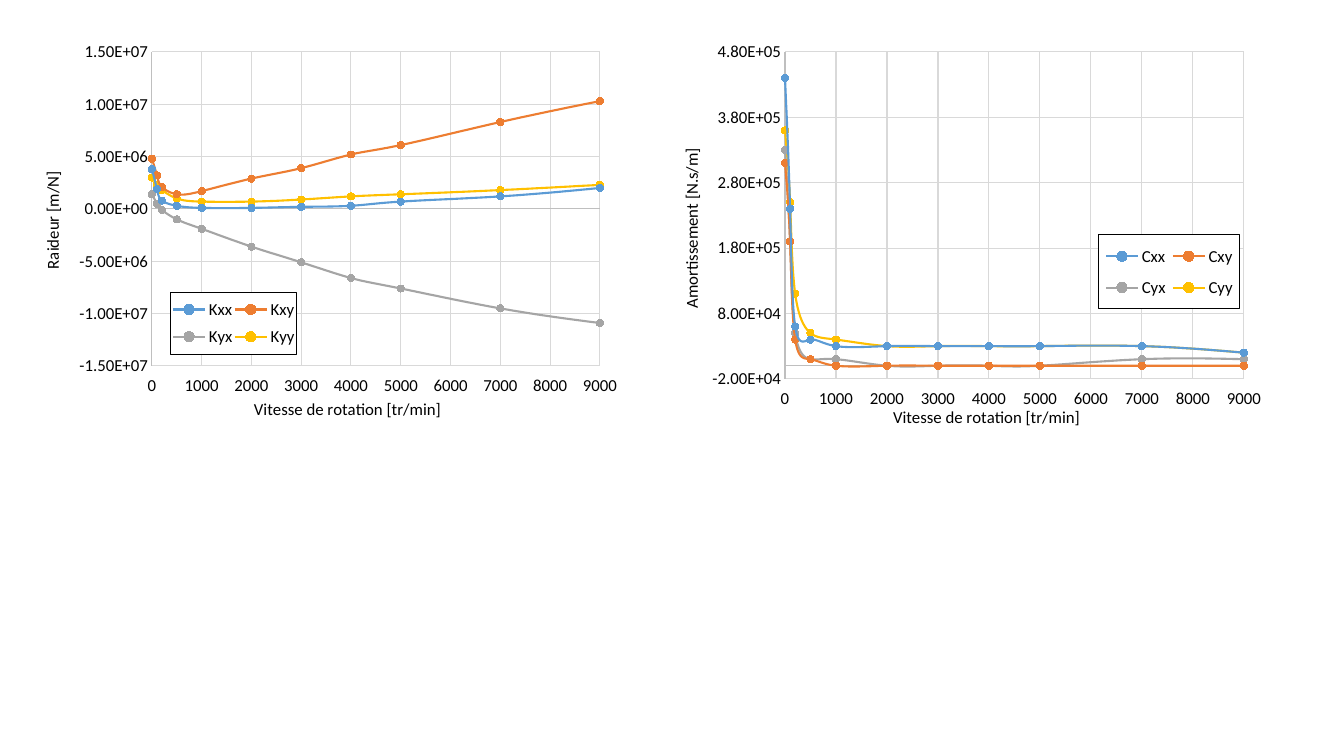
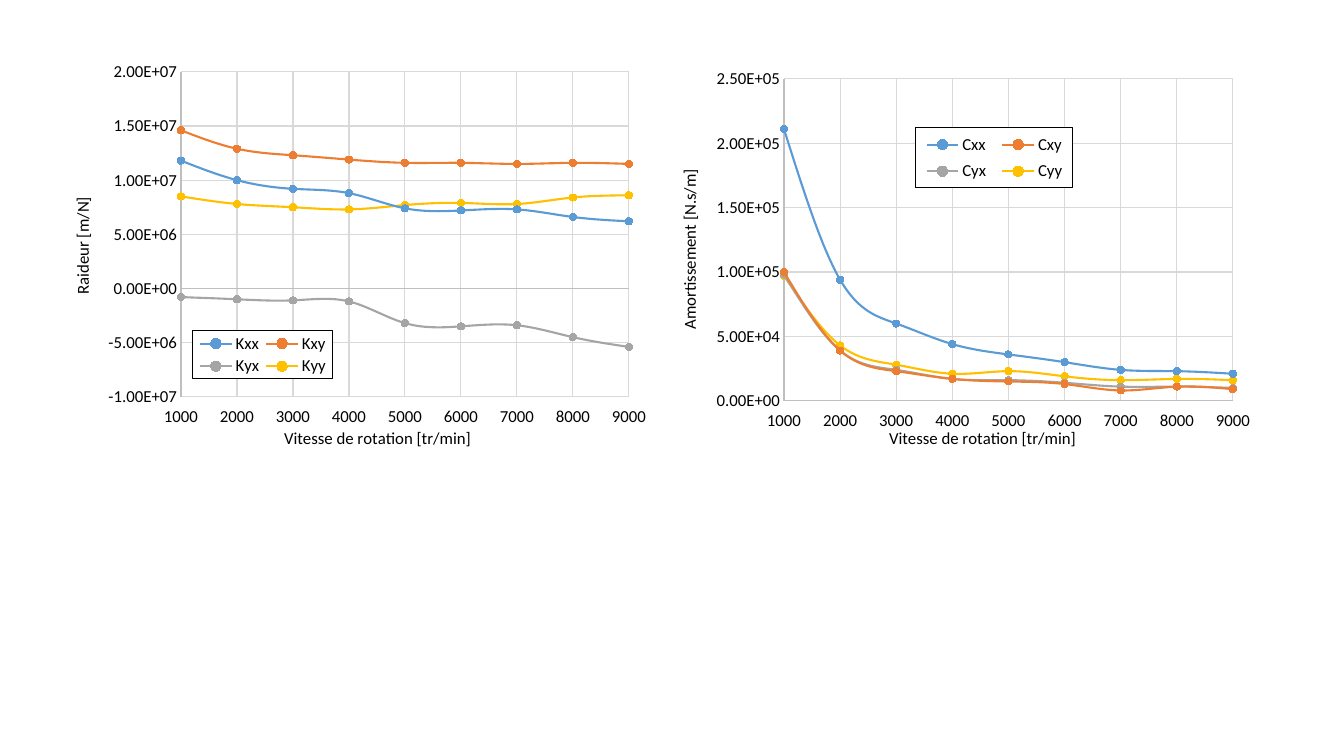
from lxml import etree
from pptx import Presentation
from pptx import util as u
from pptx.chart.data import XyChartData
from pptx.dml.color import RGBColor
from pptx.enum import chart as ch
from pptx.oxml import parse_xml
from pptx.oxml.ns import nsdecls, qn

EMU_PER_PX = 12192000 / 1344
SLIDE_SIZE = 1344, 756
CHART_SIZE = 596, 397
FONT, TEXT, AXIS, GRID = "Calibri", "000000", "BFBFBF", "D9D9D9"
SERIES_COLORS = "5B9BD5", "ED7D31", "A5A5A5", "FFC000"
NUMBER_FORMAT = "0.00E+00"
SPEED = "Vitesse de rotation [tr/min]"
STIFFNESS, DAMPING = "Raideur [m/N]", "Amortissement [N.s/m]"

WIDE_SPEEDS = 0, 100, 200, 500, 1000, 2000, 3000, 4000, 5000, 7000, 9000
EVEN_SPEEDS = range(1000, 9001, 1000)

# Boxes are left, top, width, height in slide px; y_range is min, max, step.
# Series values are counted in the chart's unit.
SLIDES = [
    [
        dict(at=(36, 28), plot=(152, 52, 448, 315), legend=(171, 293, 126, 62),
             x_title=(251, 396), y_title=(38, 169), y_label=STIFFNESS,
             y_range=(-15e6, 15e6, 5e6), speeds=WIDE_SPEEDS, x_min=0, unit=100000,
             series={
                 "Kxx": (38, 19, 8, 3, 1, 1, 2, 3, 7, 12, 20),
                 "Kxy": (48, 32, 21, 14, 17, 29, 39, 52, 61, 83, 103),
                 "Kyx": (14, 5, -1, -10, -19, -36, -51, -66, -76, -95, -109),
                 "Kyy": (30, 23, 18, 10, 7, 7, 9, 12, 14, 18, 23)}),
        dict(at=(676, 36), plot=(785, 52, 459, 327), legend=(1099, 235, 141, 74),
             x_title=(890, 403), y_title=(677, 145), y_label=DAMPING,
             y_range=(-20000, 480000, 100000), speeds=WIDE_SPEEDS, x_min=0, unit=10000,
             series={
                 "Cxx": (44, 24, 6, 4, 3, 3, 3, 3, 3, 3, 2),
                 "Cxy": (31, 19, 4, 1, 0, 0, 0, 0, 0, 0, 0),
                 "Cyx": (33, 19, 5, 1, 1, 0, 0, 0, 0, 1, 1),
                 "Cyy": (36, 25, 11, 5, 4, 3, 3, 3, 3, 3, 2)}),
    ],
    [
        dict(at=(64, 57), plot=(181, 72, 448, 325), legend=(193, 331, 140, 48),
             x_title=(281, 424), y_title=(68, 194), y_label=STIFFNESS,
             y_range=(-10e6, 20e6, 5e6), speeds=EVEN_SPEEDS, x_min=1000, unit=100000,
             series={
                 "Kxx": (118, 100, 92, 88, 74, 72, 73, 66, 62),
                 "Kxy": (146, 129, 123, 119, 116, 116, 115, 116, 115),
                 "Kyx": (-8, -10, -11, -12, -32, -35, -34, -45, -54),
                 "Kyy": (85, 78, 75, 73, 77, 79, 78, 84, 86)}),
        dict(at=(674, 57), plot=(784, 79, 449, 322), legend=(916, 128, 157, 60),
             x_title=(886, 424), y_title=(675, 166), y_label=DAMPING,
             y_range=(0, 250000, 50000), speeds=EVEN_SPEEDS, x_min=1000, unit=1000,
             series={
                 "Cxx": (211, 94, 60, 44, 36, 30, 24, 23, 21),
                 "Cxy": (100, 39, 23, 17, 15, 13, 8, 11, 9),
                 "Cyx": (98, 39, 24, 17, 16, 14, 11, 11, 10),
                 "Cyy": (97, 43, 28, 21, 23, 19, 16, 17, 16)}),
    ],
]


def px(n):
    return u.Emu(round(n * EMU_PER_PX))


def rgb(value):
    return RGBColor.from_string(value)


def style_font(font, size=12, color=TEXT, bold=False):
    font.name, font.size, font.bold = FONT, u.Pt(size), bold
    font.color.rgb = rgb(color)


def style_line(line, color, width=0.75):
    line.color.rgb = rgb(color)
    line.width = u.Pt(width)


def write(tf, text, **fmt):
    r = tf.paragraphs[0].add_run()
    r.text = text
    style_font(r.font, **fmt)


def place(element, box, at, after=None, inner=False):
    """Give a chart part a manual layout from a box in slide px."""
    for old in element.findall(qn("c:layout")):
        element.remove(old)
    layout = etree.Element(qn("c:layout"))
    manual = etree.SubElement(layout, qn("c:manualLayout"))
    values = [("layoutTarget", "inner")] if inner else []
    values += [("xMode", "edge"), ("yMode", "edge")]
    origin = (*at, 0, 0)
    for i, (name, n) in enumerate(zip("xywh", box)):
        values.append((name, f"{(n - origin[i]) / CHART_SIZE[i % 2]:.4f}"))
    for name, value in values:
        etree.SubElement(manual, qn(f"c:{name}")).set("val", value)
    if after:
        element.find(qn(after)).addnext(layout)
    else:
        element.insert(0, layout)


def style_axis(axis, limits, title, title_at, at, number_format):
    axis.minimum_scale, axis.maximum_scale, axis.major_unit = limits
    axis.major_tick_mark = axis.minor_tick_mark = ch.XL_TICK_MARK.NONE
    style_font(axis.tick_labels.font)
    axis.tick_labels.number_format = number_format
    axis.tick_labels.number_format_is_linked = False
    style_line(axis.format.line, AXIS)
    axis.has_major_gridlines = True
    style_line(axis.major_gridlines.format.line, GRID)
    tf = axis.axis_title.text_frame
    write(tf, title)
    place(axis.axis_title._element, title_at, at, after="c:tx")
    return tf


def style_curve(curve, color):
    smooth = curve._element.find(qn("c:smooth"))
    if smooth is None:
        smooth = etree.SubElement(curve._element, qn("c:smooth"))
    smooth.set("val", "1")
    style_line(curve.format.line, color, 1.5)
    marker = curve.marker
    marker.style, marker.size = ch.XL_MARKER_STYLE.CIRCLE, 5
    marker.format.fill.solid()
    marker.format.fill.fore_color.rgb = rgb(color)
    style_line(marker.format.line, color)


def style_legend(chart, box, at):
    chart.has_legend = True
    legend = chart.legend
    legend.position = ch.XL_LEGEND_POSITION.BOTTOM
    legend.include_in_layout = False
    style_font(legend.font)
    place(legend._element, box, at, after="c:legendPos")
    legend._element.find(qn("c:overlay")).addnext(parse_xml(
        f'<c:spPr {nsdecls("c", "a")}><a:solidFill><a:srgbClr val="FFFFFF"/></a:solidFill>'
        f'<a:ln w="9525"><a:solidFill><a:srgbClr val="{TEXT}"/></a:solidFill></a:ln></c:spPr>'))


def add_curves(slide, at, plot, legend, x_title, y_title, y_label, y_range,
               speeds, x_min, unit, series):
    data = XyChartData(number_format=NUMBER_FORMAT)
    for name, values in series.items():
        curve = data.add_series(name)
        for speed, value in zip(speeds, values):
            curve.add_data_point(speed, value * unit)
    chart = slide.shapes.add_chart(ch.XL_CHART_TYPE.XY_SCATTER_SMOOTH,
                                   *map(px, at + CHART_SIZE), data).chart
    chart.has_title = False
    style_font(chart.font)
    chart.plots[0].vary_by_categories = False
    place(chart._chartSpace.chart.plotArea, plot, at, inner=True)

    x_axis, y_axis = chart.category_axis, chart.value_axis
    style_axis(x_axis, (x_min, 9000, 1000), SPEED, x_title, at, "General")
    x_axis.tick_label_position = ch.XL_TICK_LABEL_POSITION.LOW
    tf = style_axis(y_axis, y_range, y_label, y_title, at, NUMBER_FORMAT)
    tf._txBody.bodyPr.set("rot", "-5400000")
    tf._txBody.bodyPr.set("vert", "horz")

    for curve, color in zip(chart.plots[0].series, SERIES_COLORS):
        style_curve(curve, color)
    style_legend(chart, legend, at)


def main():
    prs = Presentation()
    prs.slide_width, prs.slide_height = map(px, SLIDE_SIZE)
    for charts in SLIDES:
        slide = prs.slides.add_slide(prs.slide_layouts[6])
        for spec in charts:
            add_curves(slide, **spec)
    prs.save("out.pptx")


if __name__ == "__main__":
    main()
